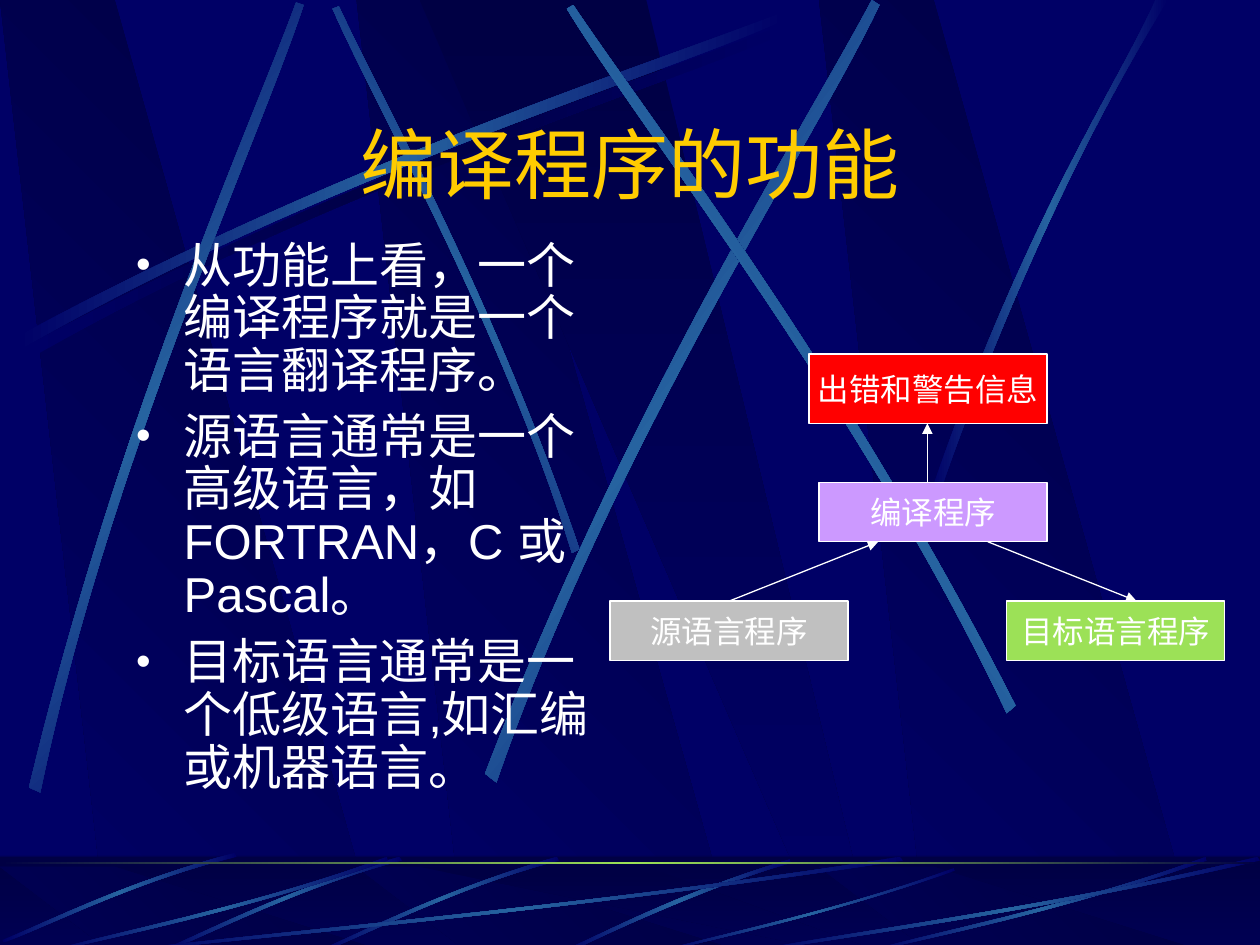
from lxml.etree import SubElement
from pptx import Presentation
from pptx.dml.color import RGBColor
from pptx.enum.shapes import MSO_CONNECTOR, MSO_SHAPE
from pptx.enum.text import MSO_ANCHOR, MSO_AUTO_SIZE, PP_ALIGN
from pptx.oxml import parse_xml
from pptx.oxml.ns import nsdecls, qn
from pptx.util import Cm, Pt

# ---- Content (positions in units of 2.54 cm) ----
TITLE = "编译程序的功能"
# (text, space before)
POINTS = [
    ("从功能上看，一个编译程序就是一个语言翻译程序。", 0),
    ("源语言通常是一个高级语言，如FORTRAN，C 或Pascal。", 7),
    ("目标语言通常是一个低级语言,如汇编或机器语言。", 8),
]
# name: (text, fill, (left, top, width, height))
NODES = {
    "compiler": ("编译程序", "CC99FF", (6.5, 3.83, 1.81, 0.47)),
    "source": ("源语言程序", "C0C0C0", (4.84, 4.77, 1.89, 0.47)),
    "target": ("目标语言程序", "9CE157", (7.99, 4.77, 1.73, 0.47)),
    "errors": ("出错和警告信息", "FF0000", (6.42, 2.81, 1.89, 0.55)),
}
# (from, x on its edge, to, x on its edge)
ARROWS = [
    ("source", 5.79, "compiler", 6.97),
    ("compiler", 7.84, "target", 9.02),
    ("compiler", 7.36, "errors", 7.36),
]

THEME = {
    "navy": "000066", "night": "000044", "beam": "2663A0", "glow": "9CE157",
    "title": "FFCC00", "text": "FFFFFF",
    "title_font": "Montserrat", "body_font": "Arial",
    "title_size": 44, "body_size": 28, "node_size": 18, "line": 0.75,
}
SHADE = [(0, THEME["night"]), (100, THEME["navy"])]
SHADOW = [(0, THEME["navy"]), (50, THEME["night"]), (100, THEME["navy"])]
BEAM = [(0, THEME["navy"]), (50, THEME["beam"]), (100, THEME["navy"])]
GLOW = [(0, THEME["night"]), (50, THEME["glow"]), (100, THEME["night"])]

# Each beam: gradient angle, then one curved edge and the edge back (4 points each)
SHADOW_BEAM = (0, [(0.2, 2.75), (2.84, 1.34), (5.24, 0.59), (6.26, 0.18),
                   (6.29, 0.24), (5.28, 0.69), (2.54, 1.51), (0.23, 2.85)])
TOP_BEAMS = [
    (315, [(4.6, 4.36), (3.91, 2.34), (3.02, 0.77), (2.69, 0.05),
           (2.64, 0.07), (2.95, 0.79), (3.98, 2.58), (4.54, 4.39)]),
    (0, [(0.14, 2.67), (2.78, 1.25), (5.18, 0.51), (6.2, 0.1),
         (6.23, 0.16), (5.22, 0.61), (2.48, 1.43), (0.17, 2.77)]),
    (48.3, [(0.23, 6.25), (0.93, 3.34), (1.97, 1.05), (2.35, 0.02),
            (2.41, 0.04), (2.07, 1.08), (0.86, 3.68), (0.32, 6.29)]),
    (38.4, [(3.85, 6.14), (4.98, 3.2), (6.38, 1.02), (6.92, 0),
            (6.98, 0.04), (6.49, 1.08), (4.86, 3.55), (3.94, 6.21)]),
    (325.2, [(8.06, 5.6), (6.7, 2.93), (5.16, 0.95), (4.55, 0.04),
             (4.5, 0.07), (5.07, 1.01), (6.85, 3.25), (7.99, 5.66)]),
    (0, [(7.38, 3.93), (8.14, 1.73), (8.88, 0.66), (9.17, 0),
         (9.27, 0), (8.36, 1.45), (7.69, 3.22), (7.44, 3.97)]),
]
SHORT_BEAM = [(3.17, 6.8), (2.3, 7.05), (1.62, 7.4), (1.31, 7.53),
              (1.32, 7.55), (1.63, 7.43), (2.4, 7.03), (3.19, 6.83)]
LONG_BEAM = [(3.08, 6.83), (1.93, 7.23), (0.88, 7.44), (0.43, 7.55),
             (0.42, 7.54), (0.86, 7.41), (2.06, 7.18), (3.07, 6.8)]


def shifted(points, dx):
    return [(x + dx, y) for x, y in points]


FLOOR_BEAMS = [
    (0, [(6.27, 6.82), (5.37, 7.09), (4.77, 7.42), (4.48, 7.54),
         (4.53, 7.55), (4.9, 7.37), (5.71, 7), (6.28, 6.85)]),
    (0, shifted(SHORT_BEAM, 1.25)),
    (0, SHORT_BEAM),
    (0, [(1.86, 6.77), (0.99, 7), (0.33, 7.34), (0.02, 7.46),
         (0.03, 7.48), (0.34, 7.37), (1.1, 6.98), (1.88, 6.8)]),
    (0, [(7.17, 6.83), (4.49, 7.23), (2.06, 7.44), (1.03, 7.55),
         (1, 7.54), (2.02, 7.41), (4.8, 7.18), (7.14, 6.8)]),
    (0, LONG_BEAM),
    (0, [(7.58, 6.91), (6.58, 7.26), (5.67, 7.45), (5.28, 7.55),
         (5.27, 7.54), (5.65, 7.43), (6.69, 7.22), (7.57, 6.89)]),
    (0, shifted(LONG_BEAM, 6.5)),
    (0, [(10, 6.83), (8.27, 7.23), (6.69, 7.44), (6.02, 7.55),
         (6, 7.54), (6.66, 7.41), (8.46, 7.18), (9.98, 6.8)]),
]

deck = Presentation()
deck.slide_width, deck.slide_height = Cm(25.4), Cm(19.05)
slide = deck.slides.add_slide(deck.slide_layouts[1])
master = deck.slide_master


def units(*values):
    return [Cm(value * 2.54) for value in values]


def color(code):
    return RGBColor.from_string(code)


def write(shape, lines, font, size, ink, align=PP_ALIGN.LEFT,
          anchor=MSO_ANCHOR.MIDDLE, wrap=True, bullet=False):
    frame = shape.text_frame
    frame.text = "\n".join(text for text, _ in lines)
    frame.word_wrap, frame.vertical_anchor = wrap, anchor
    frame.auto_size = MSO_AUTO_SIZE.NONE
    for paragraph, (_, gap) in zip(frame.paragraphs, lines):
        paragraph.alignment = align
        paragraph.space_before = Pt(gap)
        if bullet:
            paragraph.line_spacing = 0.9
            props = paragraph._p.get_or_add_pPr()
            props.set("marL", str(Cm(0.96)))
            props.set("indent", str(Cm(-0.96)))
            tint = SubElement(props, qn("a:buClr"))
            SubElement(tint, qn("a:srgbClr"), val=ink)
            SubElement(props, qn("a:buSzPct"), val="85000")
            SubElement(props, qn("a:buChar"), char="•")
        paragraph.font.name, paragraph.font.size = font, Pt(size)
        paragraph.font.color.rgb = color(ink)


def box(left, top, width, height):
    shape = slide.shapes.add_shape(MSO_SHAPE.RECTANGLE, *units(left, top, width, height))
    shape.shadow.inherit = False
    return shape


def outline(points):
    corners = [units(*point) for point in points]
    builder = slide.shapes.build_freeform(*corners[0], scale=1.0)
    builder.add_line_segments(corners[1:], close=True)
    shape = builder.convert_to_shape()
    shape.shadow.inherit = False
    return shape


def curved(shape):
    """Turn both long edges of an eight-point outline into Bézier curves."""
    lines = list(shape.element.iter(qn("a:lnTo")))
    for edge in (lines[:3], lines[4:7]):
        bend = parse_xml(f'<a:cubicBezTo {nsdecls("a")}/>')
        edge[0].addprevious(bend)
        for line in edge:
            bend.append(line[0])
            line.getparent().remove(line)
    return shape


def backdrop(shape, stops, angle=0, alpha=100):
    """Fill a decoration and move it to the slide master."""
    shape.line.fill.background()
    marks = "".join(
        f'<a:gs pos="{pos * 1000}"><a:srgbClr val="{code}"/></a:gs>' for pos, code in stops)
    paint = (f'<a:gradFill {nsdecls("a")} rotWithShape="1"><a:gsLst>{marks}</a:gsLst>'
             f'<a:lin ang="{round(angle * 60000)}" scaled="0"/></a:gradFill>')
    if len(stops) == 1:
        paint = (f'<a:solidFill {nsdecls("a")}><a:srgbClr val="{stops[0][1]}">'
                 f'<a:alpha val="{alpha * 1000}"/></a:srgbClr></a:solidFill>')
    shape.fill.background()
    props = shape.element.spPr
    props.replace(props.find(qn("a:noFill")), parse_xml(paint))
    tree = master.shapes.element
    shape.element.nvSpPr.cNvPr.set("id", str(100 + len(tree)))
    tree.append(shape.element)


def panels(top, bottom):
    for x in (2.83, 0, 6.5):
        slant = [(0.86, bottom), (3.02, bottom), (0.91, top), (0, top)]
        backdrop(outline(shifted(slant, x)), SHADE, 135)
    wedge = [(3.33, top), (6.58, bottom), (6.94, bottom), (5.13, top)]
    backdrop(outline(wedge), SHADE, 90)


def beams(rows, stops):
    for angle, points in rows:
        backdrop(curved(outline(points)), stops, angle)


# ---- Master backdrop ----
master.background.fill.solid()
master.background.fill.fore_color.rgb = color(THEME["navy"])
panels(0, 7.52)
beams([SHADOW_BEAM], SHADOW)
beams(TOP_BEAMS, BEAM)
backdrop(box(0, 6.8, 10, 0.75), SHADE, 90)
panels(6.88, 7.54)
backdrop(box(0, 6.79, 10, 0.75), SHADE[:1], alpha=50)
beams(FLOOR_BEAMS, BEAM)
backdrop(box(0, 6.84, 10, 0.02), GLOW)

# ---- Title and list ----
heading, summary = slide.placeholders
heading.left, heading.top, heading.width, heading.height = units(0.75, 0.51, 8.5, 1.57)
write(heading, [(TITLE, 0)], THEME["title_font"], THEME["title_size"], THEME["title"],
      align=PP_ALIGN.CENTER)
summary.left, summary.top, summary.width, summary.height = units(0.98, 1.86, 3.86, 4.66)
write(summary, POINTS, THEME["body_font"], THEME["body_size"], THEME["text"],
      anchor=MSO_ANCHOR.TOP, bullet=True)

# ---- Compiler diagram ----
for label, fill, place in NODES.values():
    node = box(*place)
    node.fill.solid()
    node.fill.fore_color.rgb = color(fill)
    node.line.color.rgb, node.line.width = color(THEME["text"]), Pt(THEME["line"])
    write(node, [(label, 0)], THEME["body_font"], THEME["node_size"], THEME["text"],
          align=PP_ALIGN.CENTER, wrap=False)

for origin, start_x, goal, end_x in ARROWS:
    (_, y1, _, h1), (_, y2, _, h2) = NODES[origin][2], NODES[goal][2]
    start_y, end_y = (y1, y2 + h2) if y1 > y2 else (y1 + h1, y2)
    arrow = slide.shapes.add_connector(
        MSO_CONNECTOR.STRAIGHT, *units(start_x, start_y, end_x, end_y))
    arrow.line.color.rgb, arrow.line.width = color(THEME["text"]), Pt(THEME["line"])
    SubElement(arrow.line._get_or_add_ln(), qn("a:tailEnd"), type="triangle")
    SubElement(arrow.element.spPr, qn("a:effectLst"))

deck.save("out.pptx")
